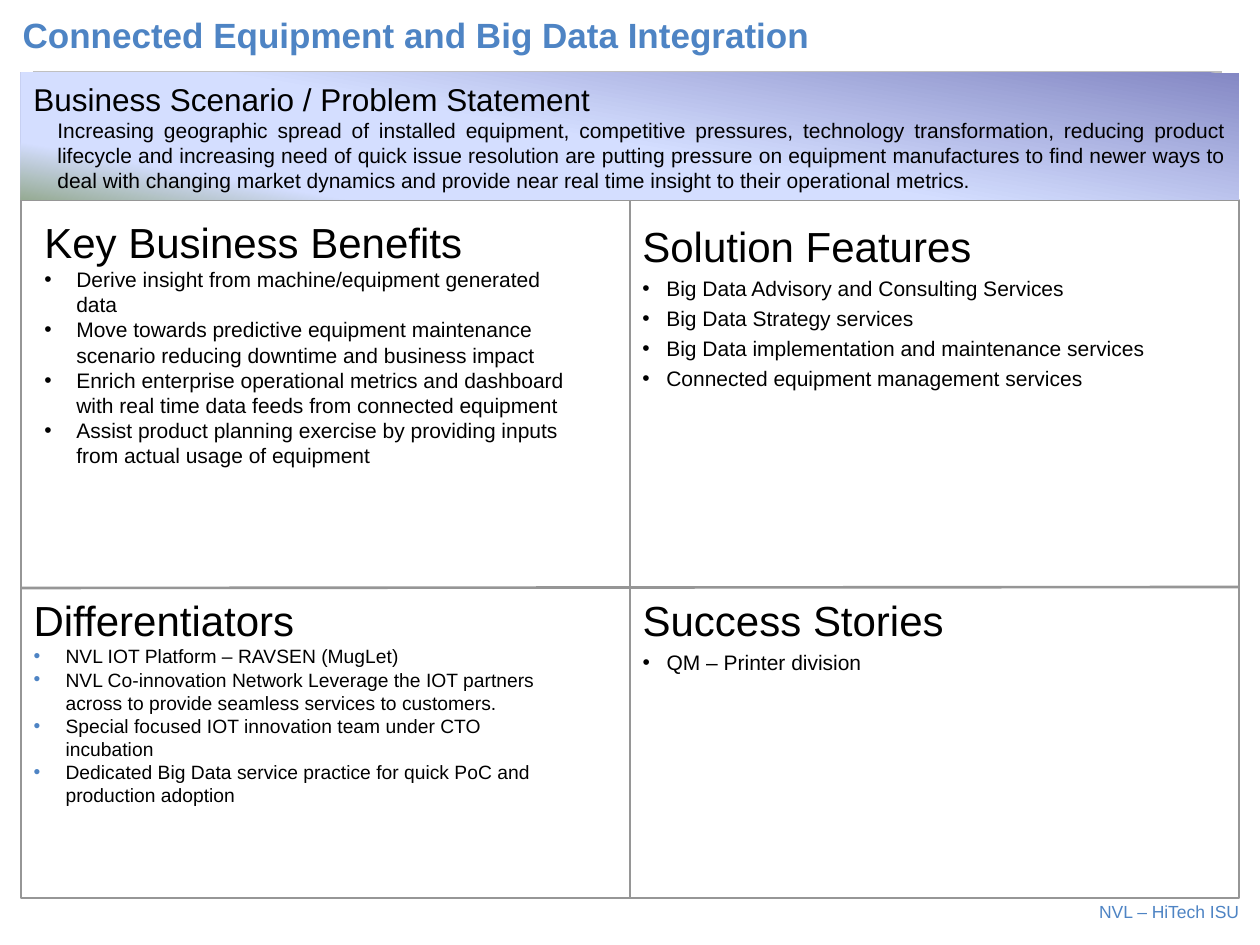
import lxml.etree
import pptx
import pptx.dml.color
import pptx.enum.shapes
import pptx.enum.text
import pptx.oxml.ns
import pptx.util

RGB = pptx.dml.color.RGBColor
ALIGN = pptx.enum.text.PP_ALIGN
ANCHOR = pptx.enum.text.MSO_ANCHOR
FIT = pptx.enum.text.MSO_AUTO_SIZE
BLUE = RGB(0x4E, 0x84, 0xC4)
BLACK = RGB(0, 0, 0)
GREY = RGB(0x96, 0x96, 0x96)
SILVER = RGB(0xC0, 0xC0, 0xC0)
INDIGO = RGB(0x84, 0x88, 0xC4)
PALE = RGB(0xD4, 0xDE, 0xFF)
SAGE = RGB(0x96, 0xAB, 0x94)
SCALE = 914400 / 126

LEFT, MID, RIGHT = 21, 630, 1239
TOP, SPLIT, BASE = 73, 588, 898
COL = 557
BAND = 127


def emu(*sizes):
    return [round(size * SCALE) for size in sizes]


def sub(node, tag, **attrs):
    return lxml.etree.SubElement(node, pptx.oxml.ns.qn(tag), attrs)


def put(item, values):
    for name, value in values.items():
        setattr(item, name, value)


class Page:
    font = "Arial"

    def __init__(self, deck):
        self.slide = deck.slides.add_slide(deck.slide_layouts[3])
        self.shapes = self.slide.shapes

    def holder(self, index, box):
        item = self.slide.placeholders[index]
        put(item, dict(zip(("left", "top", "width", "height"), emu(*box))))
        return item

    def box(self, box):
        return self.shapes.add_textbox(*emu(*box))

    def rect(self, box):
        kind = pptx.enum.shapes.MSO_SHAPE.RECTANGLE
        item = self.shapes.add_shape(kind, *emu(*box))
        item.shadow.inherit = False
        return item

    def frame(self, box):
        item = self.rect(box)
        item.fill.background()
        item.line.color.rgb = GREY
        item.line.width = pptx.util.Pt(1)

    def band(self, box, stops, angle):
        """Add a box with a gradient; the angle runs counter-clockwise."""
        item = self.rect(box)
        item.line.fill.background()
        item.fill.gradient()
        item.fill.gradient_angle = angle
        grad = next(item._element.spPr.iter(pptx.oxml.ns.qn("a:gsLst")))
        for stop in list(grad):
            grad.remove(stop)
        for pos, color in stops:
            stop = sub(grad, "a:gs", pos=str(pos * 1000))
            sub(stop, "a:srgbClr", val=str(color))
        return item

    def line(self, start, end, color, width):
        kind = pptx.enum.shapes.MSO_CONNECTOR.STRAIGHT
        item = self.shapes.add_connector(kind, *emu(*start, *end))
        item.line.color.rgb = color
        item.line.width = pptx.util.Pt(width)
        sub(item._element.spPr, "a:effectLst")

    def frame_text(self, item, anchor=ANCHOR.TOP, **more):
        text = item.text_frame
        put(text, {"word_wrap": True, "auto_size": FIT.NONE,
                   "vertical_anchor": anchor, **more})
        return text

    def say(self, para, words, size, color=BLACK, bold=False,
            bullet=None, left=0, hang=0, **form):
        """Fill a paragraph; bullet is the colour of its mark, if it has one."""
        props = para._p.get_or_add_pPr()
        margin, indent = emu(left, -hang)
        props.set("marL", str(margin))
        props.set("indent", str(indent))
        if bullet is None:
            sub(props, "a:buNone")
        else:
            sub(sub(props, "a:buClr"), "a:srgbClr", val=str(bullet))
            sub(props, "a:buFont", typeface=self.font)
            sub(props, "a:buChar", char="•")
        put(para, {"space_before": pptx.util.Pt(0), "alignment": ALIGN.LEFT, **form})
        run = para.add_run()
        run.text = words
        put(run.font, {"name": self.font, "size": pptx.util.Pt(size), "bold": bold})
        run.font.color.rgb = color

    def panel(self, item, head, rows, size=12, mark=BLACK, hang=24, gap=0):
        text = self.frame_text(item)
        self.say(text.paragraphs[0], head, 24, left=24, hang=24)
        for row in rows:
            self.say(text.add_paragraph(), row, size, bullet=mark, left=hang,
                     hang=hang, space_before=pptx.util.Pt(gap))


def main():
    deck = pptx.Presentation()
    deck.slide_width, deck.slide_height = emu(1260, 945)
    page = Page(deck)

    title = page.frame_text(page.holder(0, (10, 0, 1207, 62)), ANCHOR.MIDDLE)
    page.say(title.paragraphs[0], "Connected Equipment and Big Data Integration",
             20, BLUE, True, line_spacing=1.15)
    page.line((33, 72), (1222, 72), SILVER, 0.75)
    page.frame((LEFT, TOP + BAND, RIGHT - LEFT, BASE - TOP - BAND))

    page.panel(page.holder(1, (LEFT, SPLIT, COL, 227)), "Differentiators", [
        "NVL IOT Platform – RAVSEN (MugLet)",
        "NVL Co-innovation Network Leverage the IOT partners across to provide "
        "seamless services to customers.",
        "Special focused IOT innovation team under CTO incubation",
        "Dedicated Big Data service practice for quick PoC and production adoption",
    ], size=11, mark=BLUE, hang=32)
    page.panel(page.holder(2, (MID, SPLIT, COL, 185)), "Success Stories", [
        "QM – Printer division",
    ], gap=2.8)
    page.panel(page.box((MID, 214, COL, 217)), "Solution Features", [
        "Big Data Advisory and Consulting Services",
        "Big Data Strategy services",
        "Big Data implementation and maintenance services",
        "Connected equipment management services",
    ], gap=2.8)

    page.line((MID, TOP + BAND), (MID, BASE), GREY, 1.5)
    page.line((LEFT, SPLIT), (RIGHT, SPLIT - 1), GREY, 1.5)

    stops = [(0, INDIGO), (53, PALE), (83, PALE), (100, SAGE)]
    band = page.band((LEFT, TOP, RIGHT - LEFT, BAND), stops, 260)
    text = page.frame_text(band, ANCHOR.MIDDLE)
    page.say(text.paragraphs[0], "Business Scenario / Problem Statement", 18,
             left=24, hang=24)
    page.say(
        text.add_paragraph(),
        "Increasing geographic spread of installed equipment, competitive "
        "pressures, technology transformation, reducing product lifecycle and "
        "increasing need of quick issue resolution are putting pressure on "
        "equipment manufactures to find newer ways to deal with changing market "
        "dynamics and provide near real time insight to their operational metrics.",
        12, left=24, alignment=ALIGN.JUSTIFY)

    page.panel(page.box((32, 210, COL, 267)), "Key Business Benefits", [
        "Derive insight from machine/equipment generated data",
        "Move towards predictive equipment maintenance scenario reducing downtime "
        "and business impact",
        "Enrich enterprise operational metrics and dashboard with real time data "
        "feeds from connected equipment",
        "Assist product planning exercise by providing inputs from actual usage "
        "of equipment",
    ], hang=32)

    sides = ("margin_left", "margin_top", "margin_right", "margin_bottom")
    foot = page.frame_text(page.box((702, 901, 537, 21)), **dict.fromkeys(sides, 0))
    page.say(foot.paragraphs[0], "NVL – HiTech ISU", 10, BLUE,
             alignment=ALIGN.RIGHT)

    deck.save("out.pptx")


if __name__ == "__main__":
    main()
